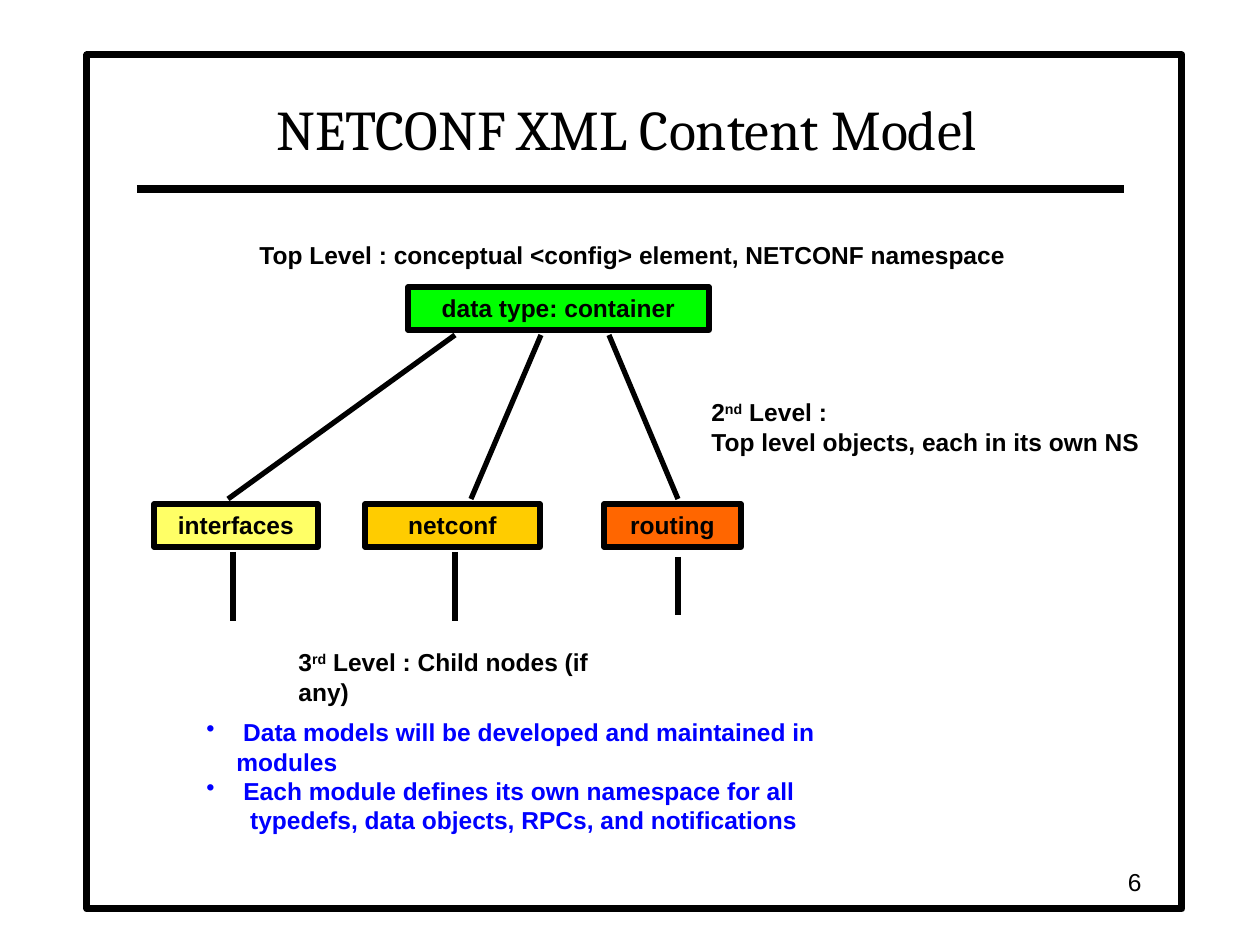
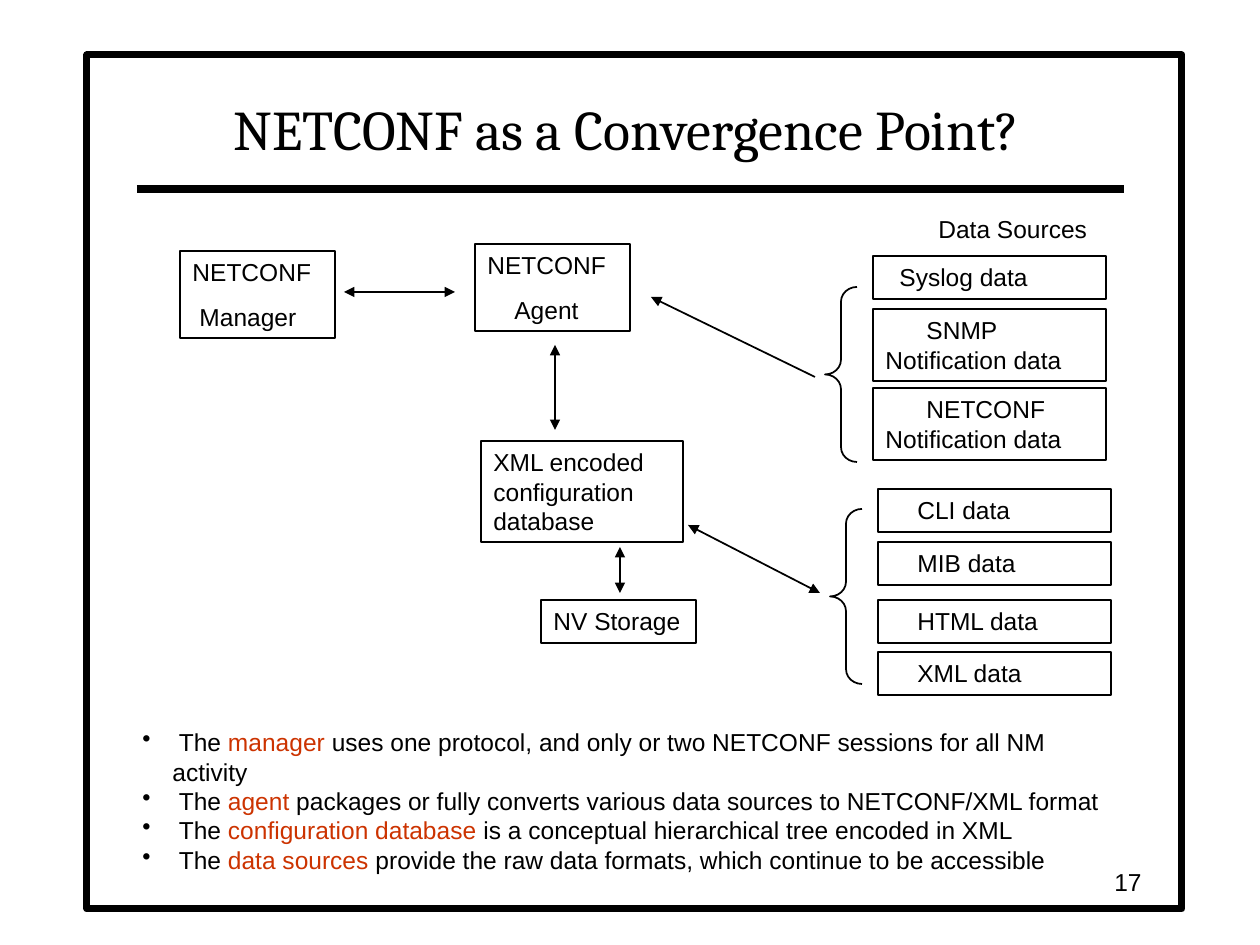
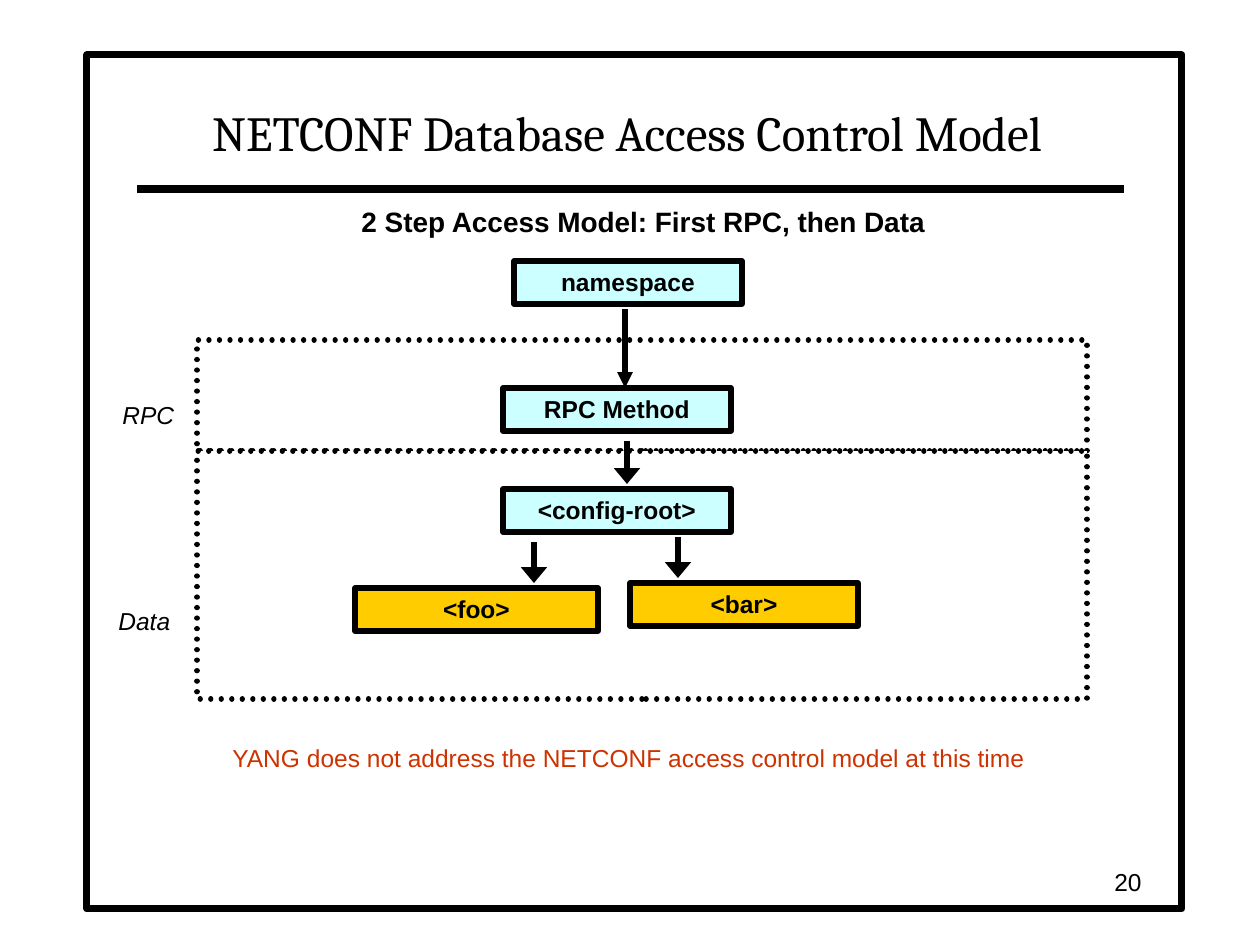
import dataclasses

import lxml.etree
import pptx
import pptx.dml.color
import pptx.enum.dml
import pptx.enum.shapes
import pptx.enum.text
import pptx.oxml.ns
import pptx.slide
import pptx.util

RGBColor = pptx.dml.color.RGBColor
ALIGN = pptx.enum.text.PP_ALIGN
ANCHOR = pptx.enum.text.MSO_ANCHOR
SHAPE = pptx.enum.shapes.MSO_SHAPE
qn = pptx.oxml.ns.qn

BLACK = RGBColor(0x00, 0x00, 0x00)
WHITE = RGBColor(0xFF, 0xFF, 0xFF)
GREEN = RGBColor(0x00, 0xFF, 0x00)
YELLOW = RGBColor(0xFF, 0xFF, 0x66)
AMBER = RGBColor(0xFF, 0xCC, 0x00)
ORANGE = RGBColor(0xFF, 0x66, 0x00)
CYAN = RGBColor(0xCC, 0xFF, 0xFF)
BLUE = RGBColor(0x00, 0x00, 0xFF)
RED = RGBColor(0xCC, 0x33, 0x00)

TITLE_FONT = "Cambria"
BODY_FONT = "Arial"
PIXELS_PER_INCH = 126
ROW = 43  # height of a one-line box
HEAVY, MEDIUM, THIN = 3, 1.5, 1


def px(length):
    return pptx.util.Emu(round(length * 914400 / PIXELS_PER_INCH))


def format_runs(paragraph, size=14, color=BLACK, bold=False, italic=False, name=BODY_FONT):
    for run in paragraph.runs:
        font = run.font
        font.name, font.size = name, pptx.util.Pt(size)
        font.bold, font.italic = bold, italic
        font.color.rgb = color


def write(text_frame, paragraphs, align=ALIGN.LEFT, space=0, **style):
    """Fill a frame; a paragraph is a string or a tuple of runs and line breaks."""
    for index, content in enumerate(paragraphs):
        paragraph = text_frame.add_paragraph() if index else text_frame.paragraphs[0]
        if isinstance(content, str):
            paragraph.text = content
        else:
            for part in content:
                if part == "\v":
                    paragraph.add_line_break()
                else:
                    paragraph.add_run().text = part
        paragraph.alignment = align
        if index and space:
            paragraph.space_before = pptx.util.Pt(space)
        format_runs(paragraph, **style)


def set_indent(paragraph, first, left=0):
    properties = paragraph._p.get_or_add_pPr()
    properties.set("marL", str(px(left)))
    properties.set("indent", str(px(first)))
    return properties


def add_bullet(paragraph, color, left=30):
    properties = set_indent(paragraph, -left, left)
    bullet_color = lxml.etree.SubElement(properties, qn("a:buClr"))
    lxml.etree.SubElement(bullet_color, qn("a:srgbClr"), val=str(color))
    lxml.etree.SubElement(properties, qn("a:buChar"), char="•")


def superscript(run):
    run._r.get_or_add_rPr().set("baseline", "30000")


@dataclasses.dataclass
class Region:
    """Part of a slide; everything in it is placed from its left top corner."""
    slide: pptx.slide.Slide
    left: int = 0
    top: int = 0

    def shape(self, left, top, width, height, fill=None, weight=HEAVY, kind=SHAPE.RECTANGLE):
        shape = self.slide.shapes.add_shape(
            kind, px(self.left + left), px(self.top + top), px(width), px(height))
        shape.shadow.inherit = False
        if fill is None:
            shape.fill.background()
        else:
            shape.fill.solid()
            shape.fill.fore_color.rgb = fill
        shape.line.color.rgb = BLACK
        shape.line.width = pptx.util.Pt(weight)
        return shape

    def node(self, text, left, top, width, fill):
        """Filled box with one bold centred line."""
        shape = self.shape(left, top, width, ROW, fill)
        shape.text_frame.vertical_anchor = ANCHOR.TOP
        write(shape.text_frame, [text], ALIGN.CENTER, bold=True)

    def outline(self, paragraphs, left, top, width, height=ROW, indent=0):
        """Plain box whose last paragraph has a first-line indent."""
        shape = self.shape(left, top, width, height, weight=MEDIUM)
        shape.text_frame.vertical_anchor = ANCHOR.TOP
        write(shape.text_frame, paragraphs, space=8.8)
        set_indent(shape.text_frame.paragraphs[-1], indent)

    def text(self, paragraphs, left, top, width, height=ROW, wrap=False, **style):
        box = self.slide.shapes.add_textbox(
            px(self.left + left), px(self.top + top), px(width), px(height))
        box.text_frame.word_wrap = wrap
        write(box.text_frame, paragraphs, **style)
        return box.text_frame

    def line(self, start, end, weight=HEAVY, head=None, tail=None):
        """Straight line; head and tail give the width of an arrowhead."""
        connector = self.slide.shapes.add_connector(
            pptx.enum.shapes.MSO_CONNECTOR.STRAIGHT,
            px(self.left + start[0]), px(self.top + start[1]),
            px(self.left + end[0]), px(self.top + end[1]))
        connector.line.color.rgb = BLACK
        connector.line.width = pptx.util.Pt(weight)
        properties = connector.element.spPr
        outline = properties.find(qn("a:ln"))
        for tag, size in (("a:headEnd", head), ("a:tailEnd", tail)):
            if size:
                lxml.etree.SubElement(outline, qn(tag), type="triangle", w=size, len="med")
        lxml.etree.SubElement(properties, qn("a:effectLst"))


def add_slide(presentation, title_text, number, title_size=32):
    slide = presentation.slides.add_slide(presentation.slide_layouts[5])
    page = Region(slide)
    page.shape(87, 55, 1095, 854, WHITE, weight=4)
    page.line((137, 189), (1124, 189), weight=4.5)

    title = slide.shapes.title
    title.left, title.top, title.width, title.height = px(136), px(73), px(982), px(95)
    title.text_frame.vertical_anchor = ANCHOR.BOTTOM
    title.text_frame.auto_size = pptx.enum.text.MSO_AUTO_SIZE.NONE
    write(title.text_frame, [title_text], ALIGN.CENTER, size=title_size, name=TITLE_FONT)
    slide.shapes.element.append(title.element)  # in front of the frame

    frame = page.text([str(number)], 892, 861, 262, 42, wrap=True, align=ALIGN.RIGHT)
    frame.vertical_anchor = ANCHOR.MIDDLE
    return slide


def content_tree(region):
    region.node("data type: container", 254, 53, 301, GREEN)
    children = [
        # name, fill, left, width, branch start, branch end, stub, stub top, stub bottom
        ("interfaces", YELLOW, 0, 164, 301, 74, 79, 318, 387),
        ("netconf", AMBER, 211, 175, 387, 317, 301, 318, 387),
        ("routing", ORANGE, 450, 137, 455, 524, 524, 323, 381),
    ]
    for name, fill, left, width, start, end, stub, stub_top, stub_bottom in children:
        region.node(name, left, 270, width, fill)
        region.line((start, 101), (end, 265))
        region.line((stub, stub_top), (stub, stub_bottom))

    region.text(["Top Level : conceptual <config> element, NETCONF namespace"],
                93, 0, 774, bold=True)
    second = region.text(
        [("2", "nd", " Level :", "\v", "Top level objects, each in its own NS")],
        545, 157, 455, 72, wrap=True, bold=True)
    third = region.text([("3", "rd", " Level : Child nodes (if any)")], 132, 407, 372, bold=True)
    for frame in (second, third):
        superscript(frame.paragraphs[0].runs[1])


def model_notes(region):
    frame = region.text(
        [" Data models will be developed and maintained in modules",
         "Each module defines its own namespace for all\v"
         " typedefs, data objects, RPCs, and notifications"],
        0, 0, 721, 101, wrap=True, color=BLUE, bold=True)
    for paragraph, left in zip(frame.paragraphs, (30, 37)):
        add_bullet(paragraph, BLUE, left)


def management_flow(region):
    region.outline(["NETCONF", "Manager"], 0, 7, 155, 87, indent=7)
    region.outline(["NETCONF", "Agent"], 295, 0, 155, 87, indent=27)
    region.outline(["XML encoded configuration database"], 301, 197, 202, 101)
    region.outline(["NV Storage"], 361, 356, 155)
    arrows = [
        ((164, 48), (275, 48), "med"),
        ((375, 186), (375, 101), "med"),
        ((440, 349), (440, 303), "med"),
        ((640, 349), (508, 281), "med"),
        ((471, 53), (635, 133), None),
    ]
    for start, end, tail in arrows:
        region.line(start, end, THIN, head="med", tail=tail)


def source_group(region, brace_top, sources):
    brace = region.shape(0, brace_top, 32, 175, weight=THIN, kind=SHAPE.LEFT_BRACE)
    brace.adjustments[0] = 0.46
    for name, top, height, indent in sources:
        region.outline([name], 48, top, 233, height, indent)


def convergence_notes(region):
    frame = region.text(
        [(" The ", "manager",
          " uses one protocol, and only or two NETCONF sessions for all NM activity"),
         (" The ", "agent",
          " packages or fully converts various data sources to NETCONF/XML format"),
         (" The ", "configuration database",
          " is a conceptual hierarchical tree encoded in XML"),
         (" The ", "data sources",
          " provide the raw data formats, which continue to be accessible")],
        0, 0, 1000, 131, wrap=True)
    for paragraph in frame.paragraphs:
        add_bullet(paragraph, BLACK)
        paragraph.runs[1].font.color.rgb = RED


def access_zones(region):
    zones = [("RPC", 0, 111, 4, 54), ("Data", 111, 248, 0, 260)]
    for name, top, height, label_left, label_top in zones:
        zone = region.shape(91, top, 890, height, WHITE)
        zone.line.dash_style = pptx.enum.dml.MSO_LINE.ROUND_DOT
        zone.element.spPr.find(qn("a:ln")).set("cap", "rnd")
        region.text([name], label_left, label_top, 77, italic=True)


def access_steps(region):
    nodes = [
        ("namespace", 159, 0, 228, CYAN),
        ("RPC Method", 148, 127, 228, CYAN),
        ("<config-root>", 148, 228, 228, CYAN),
        ("<foo>", 0, 327, 243, AMBER),
        ("<bar>", 275, 322, 228, AMBER),
    ]
    for node in nodes:
        region.node(*node)
    arrows = [(270, 48, 127, "med"), (272, 180, 223, "lg"),
              (323, 276, 317, "lg"), (179, 281, 322, "lg")]
    for x, top, bottom, tail in arrows:
        region.line((x, top), (x, bottom), tail=tail)


def content_model_slide(presentation):
    slide = add_slide(presentation, "NETCONF XML Content Model", 6)
    content_tree(Region(slide, 154, 234))
    model_notes(Region(slide, 194, 711))


def convergence_slide(presentation):
    slide = add_slide(presentation, "NETCONF as a Convergence Point?", 17)
    management_flow(Region(slide, 180, 244))
    Region(slide).text(["Data Sources"], 926, 208, 174)
    source_group(Region(slide, 825, 256), 31, [
        ("Syslog data", 0, ROW, 14),
        ("SNMP Notification data", 53, 72, 41),
        ("NETCONF Notification data", 132, 72, 41),
    ])
    source_group(Region(slide, 830, 489), 20, [
        ("CLI data", 0, ROW, 27),
        ("MIB data", 53, ROW, 27),
        ("HTML data", 111, ROW, 27),
        ("XML data", 163, ROW, 27),
    ])
    convergence_notes(Region(slide, 130, 721))


def access_control_slide(presentation):
    slide = add_slide(presentation, "NETCONF Database Access Control Model", 20, title_size=28)
    page = Region(slide)
    page.text(["2 Step Access Model: First RPC, then Data"],
              349, 198, 614, 47, wrap=True, size=16, bold=True)
    access_zones(Region(slide, 106, 340))
    access_steps(Region(slide, 355, 261))
    page.text(["YANG does not address the NETCONF access control model at this time"],
              220, 737, 820, color=RED)


def main():
    presentation = pptx.Presentation()
    presentation.slide_width, presentation.slide_height = px(1260), px(945)
    content_model_slide(presentation)
    convergence_slide(presentation)
    access_control_slide(presentation)
    presentation.save("out.pptx")


if __name__ == "__main__":
    main()
